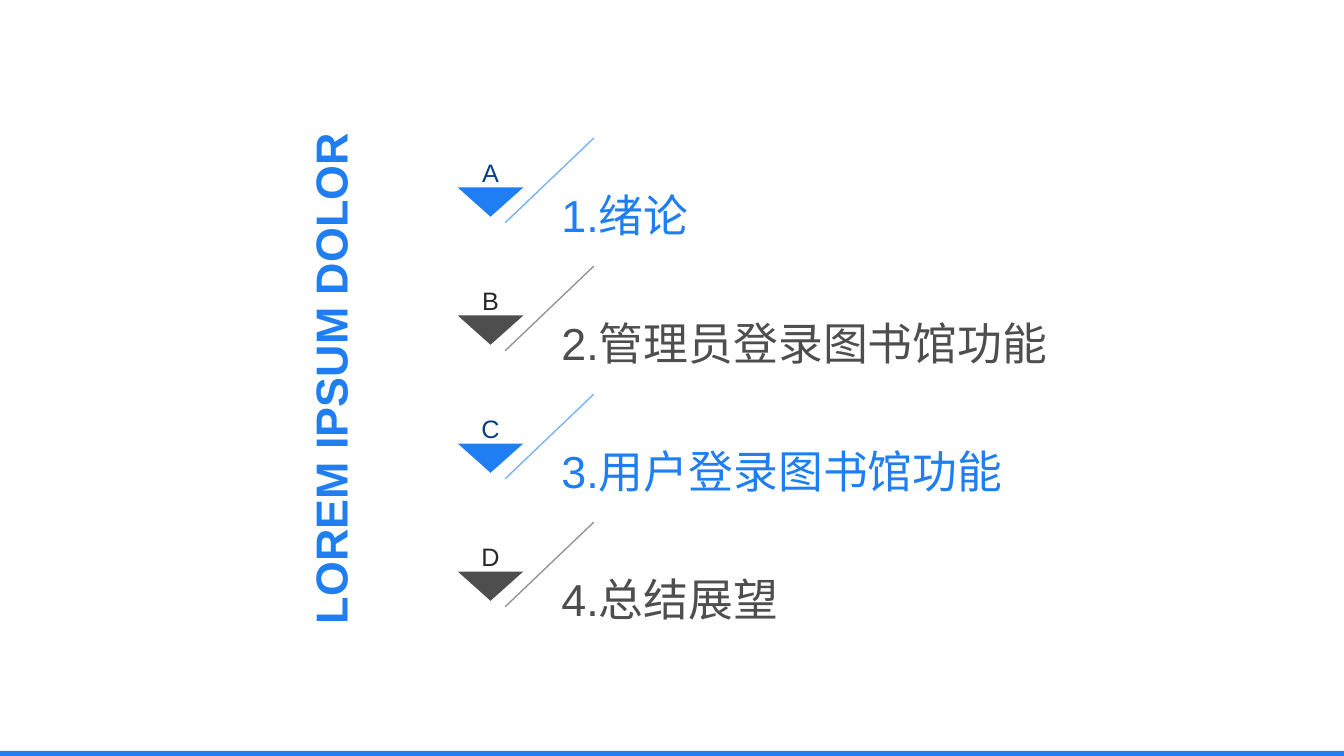
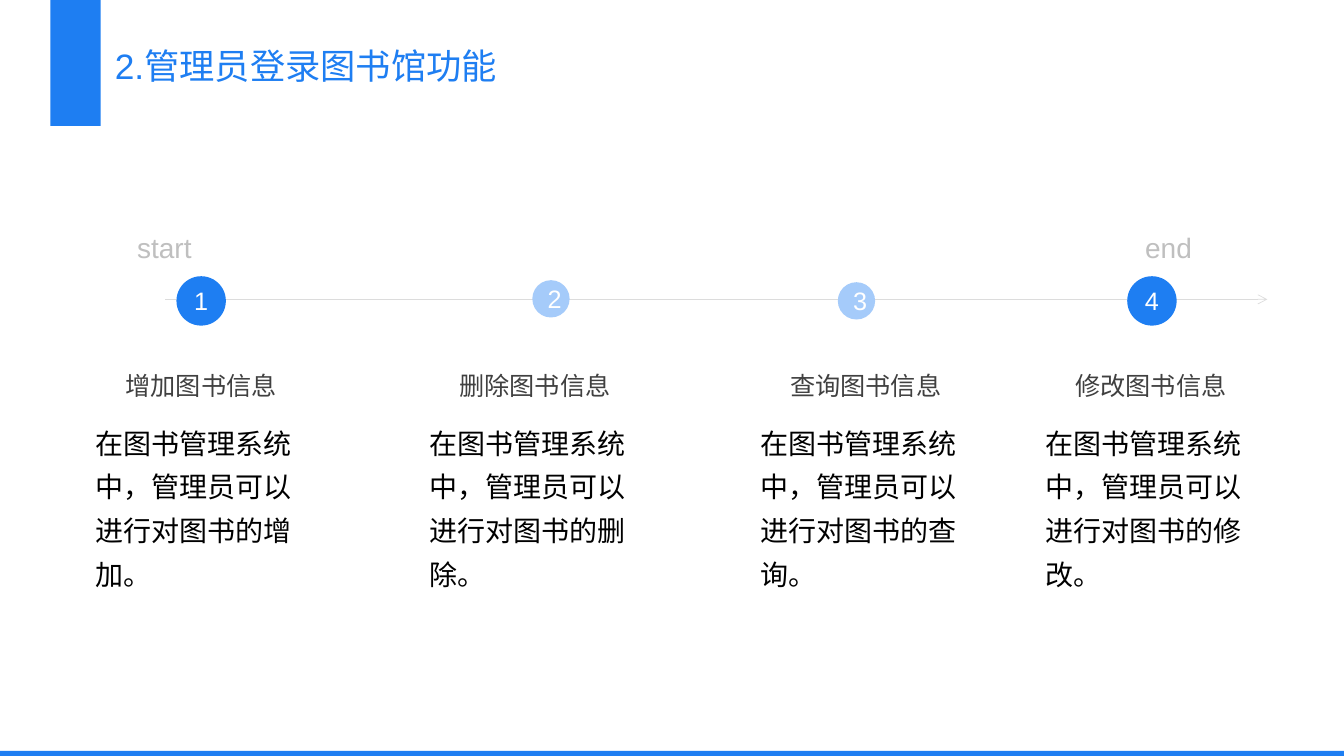
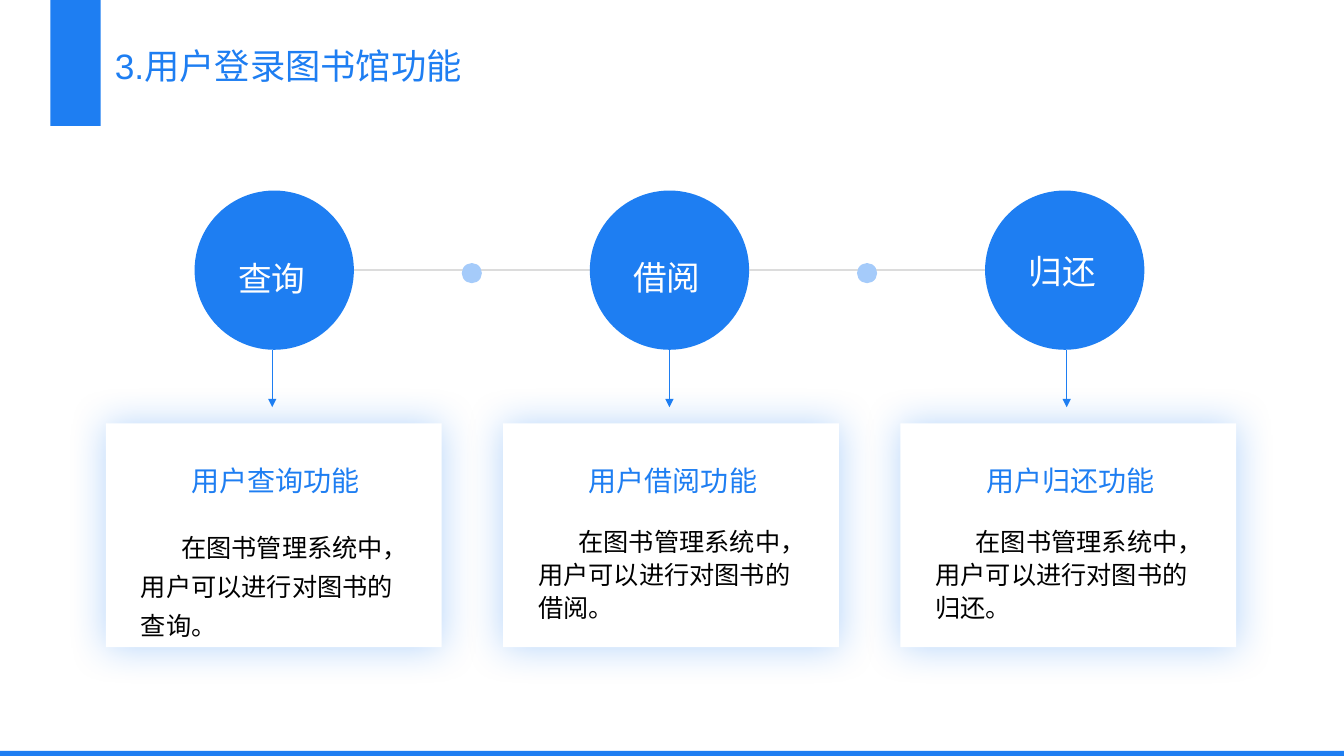
from dataclasses import dataclass

from lxml.etree import SubElement
from pptx import Presentation
from pptx.dml.color import RGBColor
from pptx.enum.shapes import MSO_CONNECTOR, MSO_SHAPE
from pptx.enum.text import MSO_ANCHOR, PP_ALIGN
from pptx.oxml.ns import qn
from pptx.presentation import Presentation as Deck
from pptx.shapes.autoshape import Shape
from pptx.slide import Slide
from pptx.util import Emu, Pt

EMU_PER_PX = 9144
PAGE_WIDTH, PAGE_HEIGHT = 1333, 750
FONT = "Arial"
BLUE, PALE_BLUE, RULE_BLUE, NAVY = "1E7EF2", "A5CBFA", "78B2F7", "073E81"
GRAY, RULE_GRAY, DARK, HEADING_GRAY = "4E4E4E", "959595", "272727", "404040"
LIGHT, HINT, WHITE, BLACK = "DCDCDC", "BFBFBF", "FFFFFF", "000000"
AGENDA_TOP, AGENDA_STEP = 119, 127
CIRCLE_LEFT, CIRCLE_TOP, CIRCLE_SIZE, CIRCLE_STEP = 193, 189, 158, 392
CARD_LEFT, CARD_TOP, CARD_STEP = 105, 420, 394


@dataclass(frozen=True)
class Theme:
    fill: str
    rule: str
    letter: str


@dataclass(frozen=True)
class AgendaItem:
    letter: str
    title: str
    theme: Theme


@dataclass(frozen=True)
class Step:
    column: int
    node_left: int
    node_top: int
    node_size: int
    node_fill: str
    heading: str
    body: str


@dataclass(frozen=True)
class Feature:
    label: str
    label_top: int
    heading: str
    body: str
    body_spacing: float


BLUE_THEME = Theme(BLUE, RULE_BLUE, NAVY)
GRAY_THEME = Theme(GRAY, RULE_GRAY, DARK)

AGENDA = [
    AgendaItem("A", "1.绪论", BLUE_THEME),
    AgendaItem("B", "2.管理员登录图书馆功能", GRAY_THEME),
    AgendaItem("C", "3.用户登录图书馆功能", BLUE_THEME),
    AgendaItem("D", "4.总结展望", GRAY_THEME),
]

STEPS = [
    Step(85, 175, 274, 49, BLUE, "增加图书信息", "在图书管理系统中，管理员可以进行对图书的增加。"),
    Step(416, 528, 278, 37, PALE_BLUE, "删除图书信息", "在图书管理系统中，管理员可以进行对图书的删除。"),
    Step(744, 831, 280, 37, PALE_BLUE, "查询图书信息", "在图书管理系统中，管理员可以进行对图书的查询。"),
    Step(1027, 1118, 274, 49, BLUE, "修改图书信息", "在图书管理系统中，管理员可以进行对图书的修改。"),
]

FEATURES = [
    Feature("查询", 239, "用户查询功能", "在图书管理系统中，用户可以进行对图书的查询。", 1.3),
    Feature("借阅", 238, "用户借阅功能", "在图书管理系统中，用户可以进行对图书的借阅。", 1.1),
    Feature("归还", 232, "用户归还功能", "在图书管理系统中，用户可以进行对图书的归还。", 1.1),
]


def px(length: int) -> Emu:
    return Emu(length * EMU_PER_PX)


def color(value: str) -> RGBColor:
    return RGBColor.from_string(value)


def write_text(
    shape: Shape,
    text: str,
    *,
    size: float,
    ink: str,
    bold: bool = False,
    align: PP_ALIGN = PP_ALIGN.LEFT,
    anchor: MSO_ANCHOR = MSO_ANCHOR.TOP,
    spacing: float = 1.0,
    wrap: bool = True,
    inset: bool = True,
    indent: int = 0,
) -> None:
    frame = shape.text_frame
    frame.word_wrap = wrap
    frame.vertical_anchor = anchor
    if not inset:
        frame.margin_left = frame.margin_right = 0
        frame.margin_top = frame.margin_bottom = 0
    para = frame.paragraphs[0]
    para.alignment = align
    para.line_spacing = spacing
    if indent:
        para._p.get_or_add_pPr().set("indent", str(px(indent)))
    span = para.add_run()
    span.text = text
    span.font.size = Pt(size)
    span.font.bold = bold
    span.font.color.rgb = color(ink)
    span.font.name = FONT
    SubElement(span._r.get_or_add_rPr(), qn("a:ea"), typeface=FONT)


def add_text(
    page: Slide, left: int, top: int, width: int, height: int, text: str, **style
) -> Shape:
    box = page.shapes.add_textbox(px(left), px(top), px(width), px(height))
    write_text(box, text, **style)
    return box


def add_block(
    page: Slide, kind: MSO_SHAPE, left: int, top: int, width: int, height: int, fill: str
) -> Shape:
    block = page.shapes.add_shape(kind, px(left), px(top), px(width), px(height))
    block.shadow.inherit = False
    block.fill.solid()
    block.fill.fore_color.rgb = color(fill)
    block.line.fill.background()
    return block


def add_rule(
    page: Slide,
    start: tuple[int, int],
    end: tuple[int, int],
    ink: str,
    weight: float,
    arrow: str = "",
) -> None:
    rule = page.shapes.add_connector(
        MSO_CONNECTOR.STRAIGHT, px(start[0]), px(start[1]), px(end[0]), px(end[1])
    )
    rule.line.color.rgb = color(ink)
    rule.line.width = Pt(weight)
    properties = rule._element.spPr
    if arrow:
        SubElement(properties.find(qn("a:ln")), qn("a:tailEnd"), type=arrow)
    SubElement(properties, qn("a:effectLst"))


def add_glow(block: Shape, ink: str, opacity: int, blur: int) -> None:
    effects = block._element.spPr.find(qn("a:effectLst"))
    shadow = SubElement(
        effects, qn("a:outerShdw"), blurRad=str(Pt(blur)), dist="0", dir="0",
        algn="ctr", rotWithShape="0",
    )
    tint = SubElement(shadow, qn("a:srgbClr"), val=ink)
    SubElement(tint, qn("a:alpha"), val=str(opacity * 1000))


def add_page(deck: Deck, title: str = "") -> Slide:
    page = deck.slides.add_slide(deck.slide_layouts[6])
    add_block(page, MSO_SHAPE.RECTANGLE, 0, 745, PAGE_WIDTH, 5, BLUE)
    if title:
        add_block(page, MSO_SHAPE.RECTANGLE, 50, 0, 50, 125, BLUE)
        add_text(page, 104, 26, 402, 88, title, size=25.2, ink=BLUE, spacing=1.3)
    return page


def draw_agenda(deck: Deck) -> None:
    page = add_page(deck)
    heading = add_text(
        page, -48, 304, 750, 143, "LOREM IPSUM DOLOR", size=32, ink=BLUE, bold=True,
        align=PP_ALIGN.CENTER, anchor=MSO_ANCHOR.MIDDLE,
    )
    heading.rotation = 270
    for row, item in enumerate(AGENDA):
        top = AGENDA_TOP + row * AGENDA_STEP
        theme = item.theme
        add_rule(page, (589, top + 18), (501, top + 102), theme.rule, 1)
        add_block(page, MSO_SHAPE.FLOWCHART_MERGE, 454, top + 67, 65, 29, theme.fill)
        add_text(
            page, 547, top + 56, 569, 75, item.title, size=32, ink=theme.fill,
            anchor=MSO_ANCHOR.MIDDLE,
        )
        add_text(
            page, 452, top, 69, 67, item.letter, size=18, ink=theme.letter,
            align=PP_ALIGN.CENTER, anchor=MSO_ANCHOR.BOTTOM, inset=False,
        )


def draw_timeline(deck: Deck) -> None:
    page = add_page(deck, AGENDA[1].title)
    add_rule(page, (164, 297), (1257, 297), LIGHT, 0.5, "arrow")
    for left, caption in ((122, "start"), (1118, "end")):
        add_text(
            page, left, 214, 82, 55, caption, size=20, ink=HINT,
            align=PP_ALIGN.CENTER, spacing=1.3,
        )
    for number, step in enumerate(STEPS, 1):
        node = add_block(
            page, MSO_SHAPE.OVAL, step.node_left, step.node_top,
            step.node_size, step.node_size, step.node_fill,
        )
        write_text(
            node, str(number), size=18, ink=WHITE,
            align=PP_ALIGN.CENTER, anchor=MSO_ANCHOR.MIDDLE,
        )
        add_text(
            page, step.column, 347, 229, 55, step.heading, size=18, ink=HEADING_GRAY,
            align=PP_ALIGN.CENTER, anchor=MSO_ANCHOR.BOTTOM, spacing=1.3,
        )
        add_text(
            page, step.column, 408, 231, 206, step.body, size=20, ink=BLACK, spacing=1.3
        )


def draw_features(deck: Deck) -> None:
    page = add_page(deck, AGENDA[2].title)
    for column, feature in enumerate(FEATURES):
        circle_left = CIRCLE_LEFT + column * CIRCLE_STEP
        card_left = CARD_LEFT + column * CARD_STEP
        arrow_left = card_left + 165
        if column:
            previous_right = circle_left - CIRCLE_STEP + CIRCLE_SIZE
            add_rule(page, (circle_left, 268), (previous_right, 268), LIGHT, 1.5)
            middle = (circle_left + previous_right) // 2
            add_block(page, MSO_SHAPE.OVAL, middle - 10, 261, 20, 20, PALE_BLUE)
        add_block(
            page, MSO_SHAPE.OVAL, circle_left, CIRCLE_TOP, CIRCLE_SIZE, CIRCLE_SIZE, BLUE
        )
        add_text(
            page, circle_left + 9, feature.label_top, 135, 84, feature.label,
            size=24, ink=WHITE, align=PP_ALIGN.CENTER, spacing=1.3, wrap=False,
        )
        add_rule(page, (arrow_left, 347), (arrow_left, 404), BLUE, 0.5, "triangle")
        card = add_block(page, MSO_SHAPE.RECTANGLE, card_left, CARD_TOP, 333, 222, WHITE)
        add_glow(card, BLUE, opacity=32, blur=28)
        add_text(
            page, card_left + 25, CARD_TOP + 32, 287, 49, feature.heading,
            size=20, ink=BLUE, align=PP_ALIGN.CENTER, spacing=1.1, wrap=False,
        )
        add_text(
            page, card_left + 25, CARD_TOP + 94, 287, 115, feature.body,
            size=18, ink=BLACK, spacing=feature.body_spacing, indent=40,
        )


def main() -> None:
    deck = Presentation()
    deck.slide_width, deck.slide_height = px(PAGE_WIDTH), px(PAGE_HEIGHT)
    draw_agenda(deck)
    draw_timeline(deck)
    draw_features(deck)
    deck.save("out.pptx")


if __name__ == "__main__":
    main()
